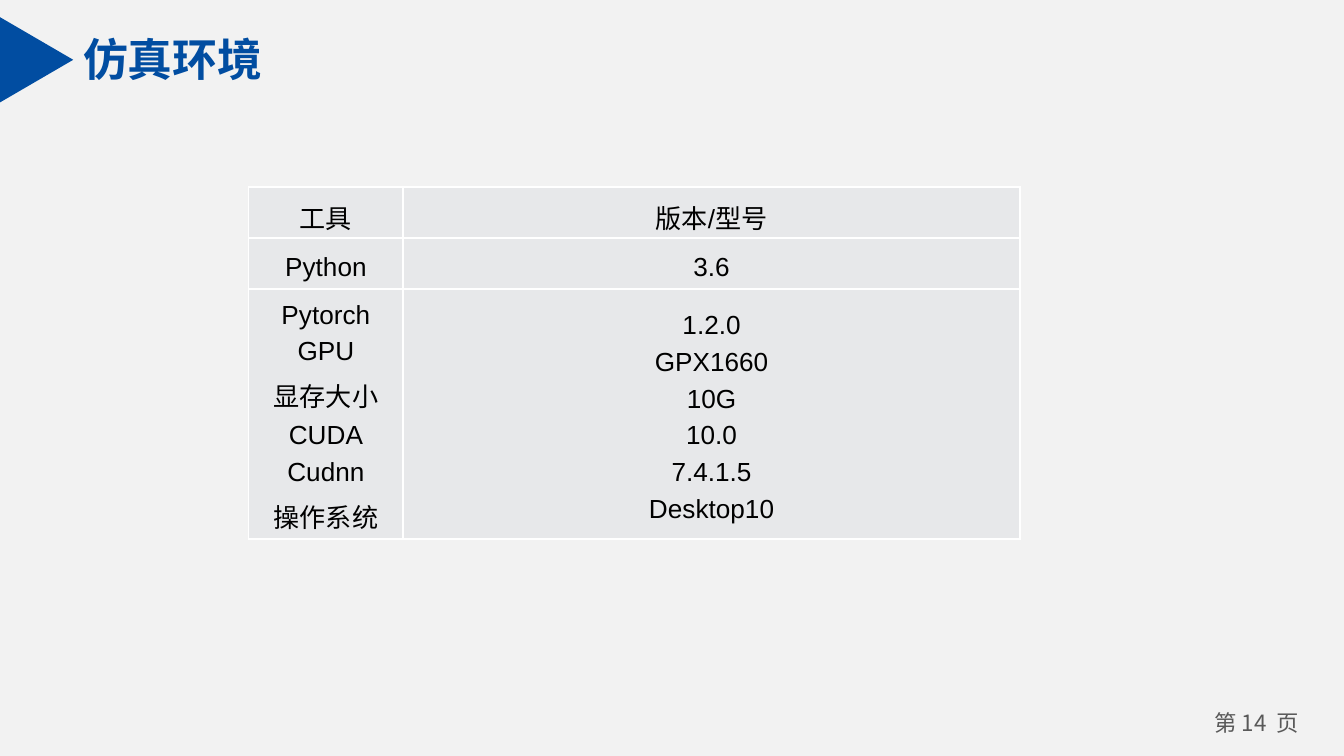
from lxml import etree
from pptx import Presentation
from pptx.dml.color import RGBColor
from pptx.enum import shapes, text
from pptx.oxml import ns
from pptx.util import Inches, Pt

BACKGROUND = RGBColor(0xF2, 0xF2, 0xF2)
BLUE = RGBColor(0x01, 0x4D, 0xA1)
GREY = RGBColor(0x59, 0x59, 0x59)
CELL_FILL = RGBColor(0xE7, 0xE8, 0xEA)
BLACK = RGBColor(0, 0, 0)
WHITE = RGBColor(0xFF, 0xFF, 0xFF)

ENVIRONMENT = [
    (["工具"], ["版本/型号"]),
    (["Python"], ["3.6"]),
    (["Pytorch", "GPU", "显存大小", "CUDA", "Cudnn", "操作系统"],
     ["1.2.0", "GPX1660", "10G", "10.0", "7.4.1.5", "Desktop10"]),
]
COLUMN_WIDTHS = [1.15, 4.59]
ROW_HEIGHTS = [0.38, 0.38, 1.86]


class SlideBuilder:
    def __init__(self, slide):
        self.slide = slide
        slide.background.fill.solid()
        slide.background.fill.fore_color.rgb = BACKGROUND

    def style(self, paragraph, size, color, face="Arial", bold=False):
        font = paragraph.font
        font.name, font.size, font.bold = face, Pt(size), bold
        font.color.rgb = color

    def label(self, words, box, size, color, face="Arial", bold=False,
              wrap=True, align=text.PP_ALIGN.LEFT, margins=(0.1, 0.05)):
        frame = self.slide.shapes.add_textbox(*map(Inches, box)).text_frame
        frame.word_wrap = wrap
        frame.margin_left = frame.margin_right = Inches(margins[0])
        frame.margin_top = frame.margin_bottom = Inches(margins[1])
        paragraph = frame.paragraphs[0]
        paragraph.text = words
        paragraph.alignment = align
        self.style(paragraph, size, color, face, bold)
        return frame

    def triangle(self, box, rotation, color):
        marker = self.slide.shapes.add_shape(
            shapes.MSO_SHAPE.ISOSCELES_TRIANGLE, *map(Inches, box))
        marker.rotation = rotation
        marker.shadow.inherit = False
        marker.fill.solid()
        marker.fill.fore_color.rgb = color
        marker.line.fill.background()

    def table(self, rows, left, top, widths, heights):
        grid = self.slide.shapes.add_table(
            len(rows), len(widths), Inches(left), Inches(top),
            Inches(sum(widths)), Inches(sum(heights))).table
        for column, width in zip(grid.columns, widths):
            column.width = Inches(width)
        for row, height, contents in zip(grid.rows, heights, rows):
            row.height = Inches(height)
            for cell, lines in zip(row.cells, contents):
                self.fill_cell(cell, lines)

    def fill_cell(self, cell, lines):
        cell.fill.solid()
        cell.fill.fore_color.rgb = CELL_FILL
        cell.vertical_anchor = text.MSO_ANCHOR.MIDDLE
        cell.margin_left = cell.margin_right = Inches(0.07)
        cell.margin_top = cell.margin_bottom = 0
        cell.text = "\n".join(lines)
        for paragraph in cell.text_frame.paragraphs:
            paragraph.alignment = text.PP_ALIGN.CENTER
            paragraph.line_spacing = 1.25
            self.style(paragraph, 14, BLACK)
        self.outline_cell(cell)

    def outline_cell(self, cell):
        """Draw a 1 pt white border; border elements must precede the fill."""
        properties = cell._tc.get_or_add_tcPr()
        for index, side in enumerate(("lnL", "lnR", "lnT", "lnB")):
            border = etree.Element(ns.qn(f"a:{side}"), w=str(Pt(1)))
            fill = etree.SubElement(border, ns.qn("a:solidFill"))
            etree.SubElement(fill, ns.qn("a:srgbClr"), val=str(WHITE))
            properties.insert(index, border)


def main():
    deck = Presentation()
    deck.slide_width = Inches(10)
    deck.slide_height = deck.slide_width * 9 // 16
    builder = SlideBuilder(deck.slides.add_slide(deck.slide_layouts[6]))

    builder.label("第 14  页", (8.9, 5.24, 0.9, 0.3), 12, GREY,
                  face="Noto Sans CJK SC", align=text.PP_ALIGN.CENTER,
                  margins=(0.07, 0.04))
    title = builder.label("仿真环境", (0.52, 0.19, 1.55, 0.5), 24, BLUE,
                          bold=True, wrap=False)
    title.auto_size = text.MSO_AUTO_SIZE.SHAPE_TO_FIT_TEXT
    builder.triangle((-0.05, 0.17, 0.64, 0.55), 90, BLUE)
    builder.table(ENVIRONMENT, 1.85, 1.39, COLUMN_WIDTHS, ROW_HEIGHTS)

    deck.save("out.pptx")


if __name__ == "__main__":
    main()
